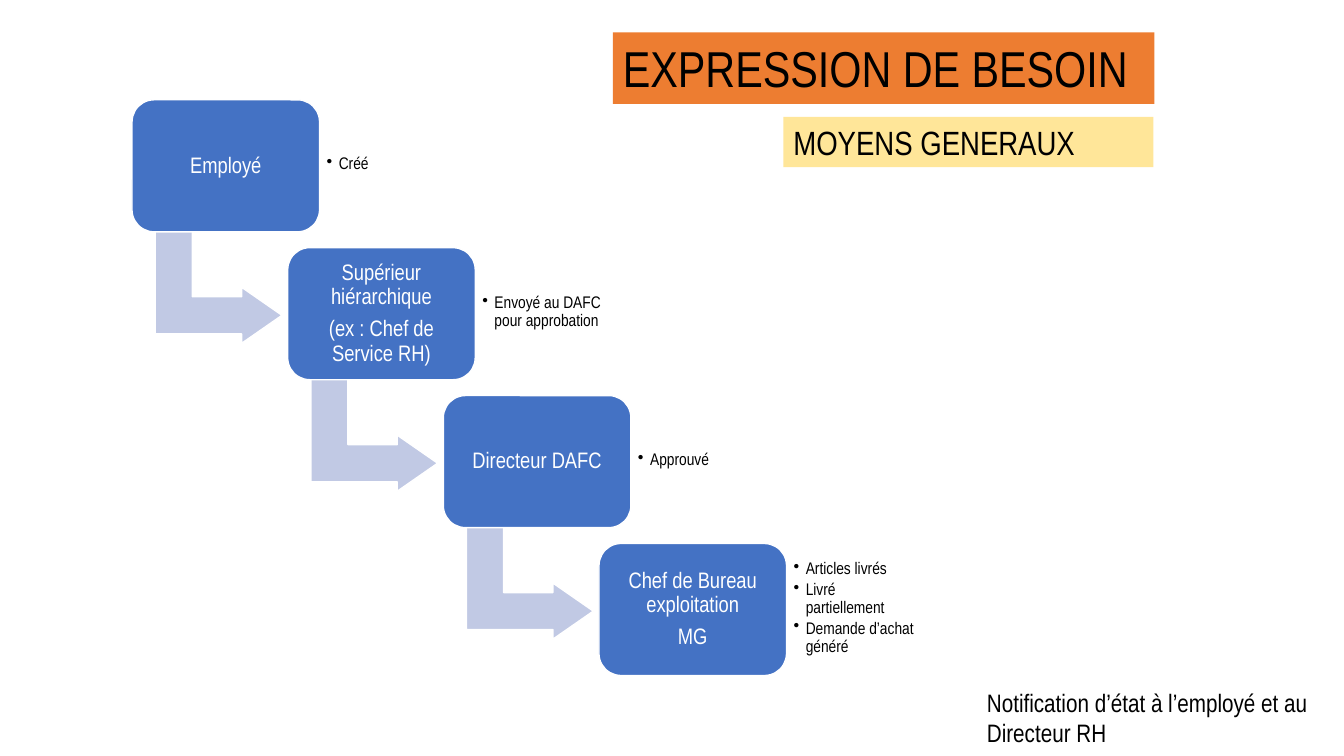
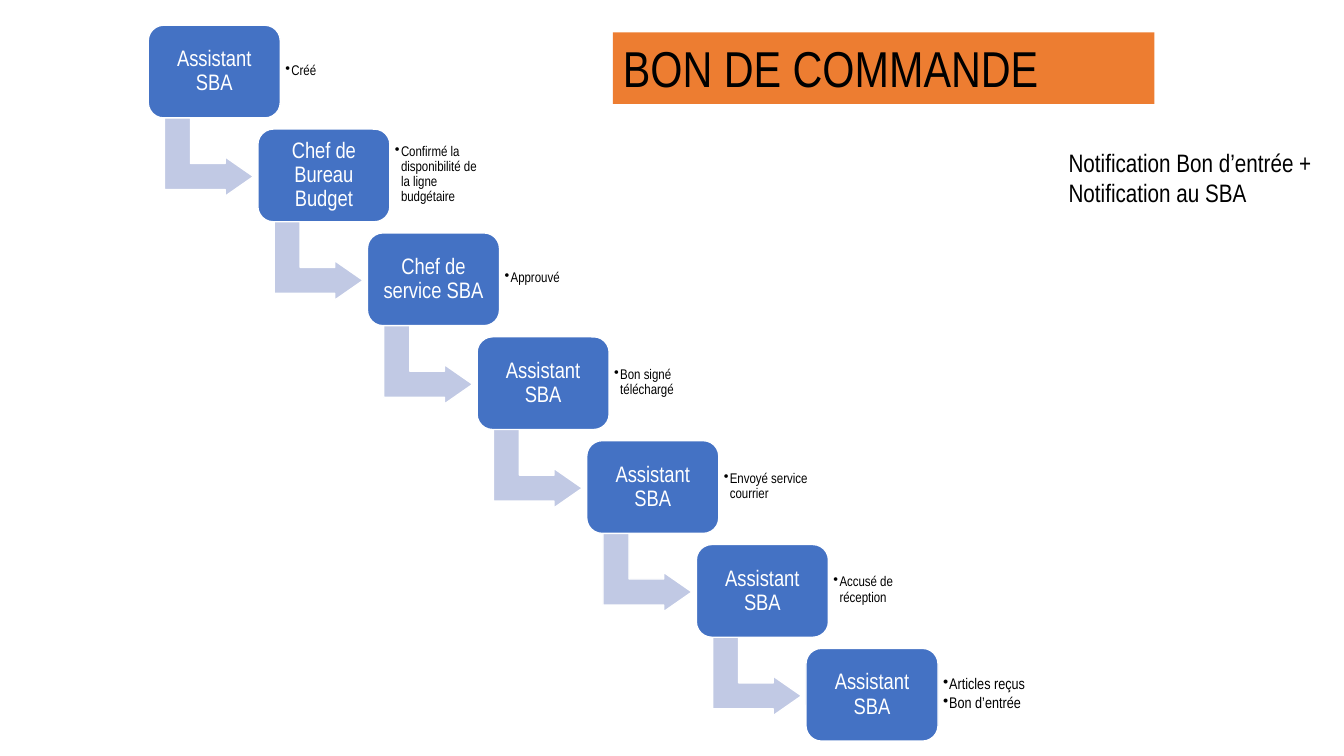
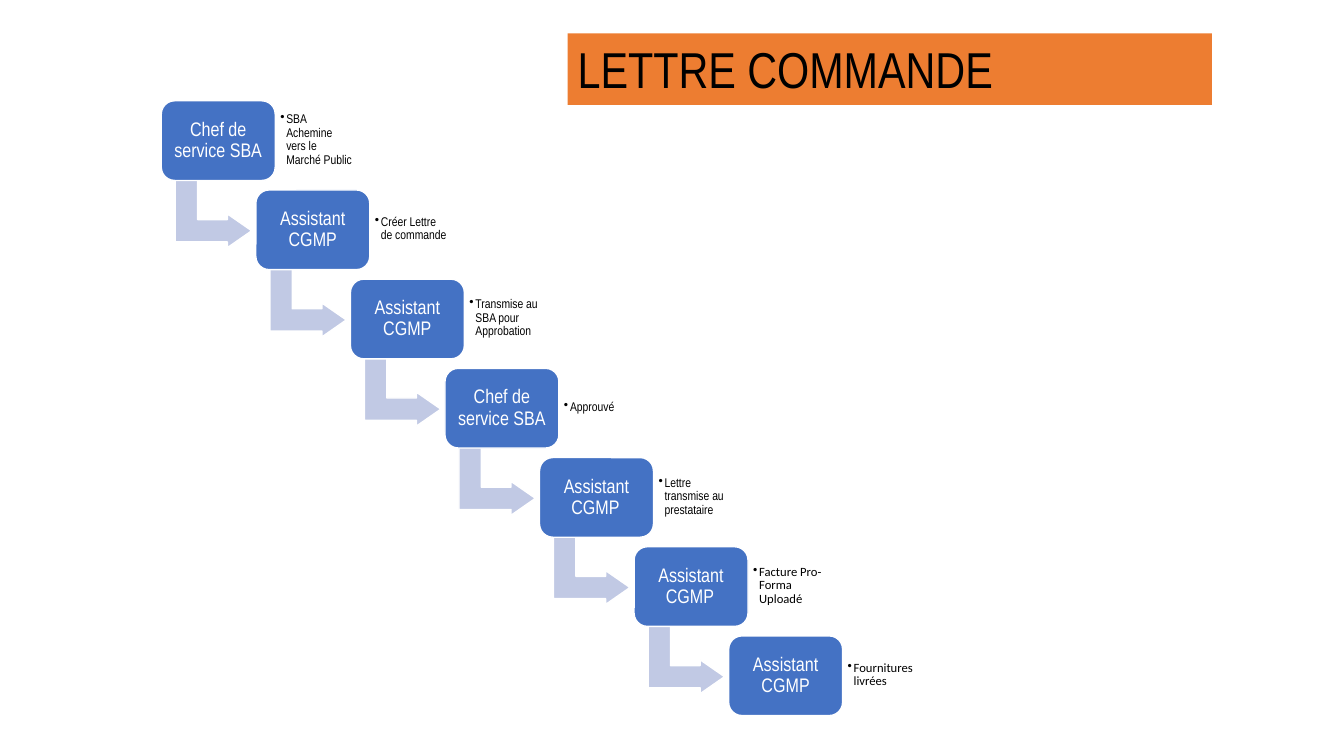
from pptx import Presentation
from pptx.dml.color import RGBColor
from pptx.enum.shapes import MSO_SHAPE
from pptx.enum.text import MSO_ANCHOR, MSO_AUTO_SIZE, PP_ALIGN
from pptx.util import Inches, Pt
from lxml import etree

COLORS = {
    "step": "4472C4",
    "arrow": "C1C9E4",
    "title": "ED7D31",
    "subtitle": "FFE699",
    "light": "FFFFFF",
    "dark": "000000",
}
NARROW = "Arial Narrow"
ROUND_FONT = "Calibri"
DRAWING = "http://schemas.openxmlformats.org/drawingml/2006/main"


class ProcessDeck:
    def __init__(self):
        self.deck = Presentation()
        self.deck.slide_width = Inches(13.33)
        self.deck.slide_height = Inches(7.5)
        self.page = None

    def add_page(self):
        self.page = self.deck.slides.add_slide(self.deck.slide_layouts[6])

    def color(self, name):
        return RGBColor.from_string(COLORS[name])

    def shape(self, kind, left, top, width, height, fill, outline=None):
        shape = self.page.shapes.add_shape(
            kind, Inches(left), Inches(top), Inches(width), Inches(height))
        shape.shadow.inherit = False
        shape.fill.solid()
        shape.fill.fore_color.rgb = self.color(fill)
        if outline:
            shape.line.color.rgb = self.color(outline)
            shape.line.width = Pt(1)
        else:
            shape.line.fill.background()
        return shape

    def set_text(self, box, text, size, color="dark", font=NARROW, align=PP_ALIGN.LEFT,
                 anchor=MSO_ANCHOR.TOP, inset=None):
        frame = box.text_frame
        frame.word_wrap = True
        frame.vertical_anchor = anchor
        if inset is not None:
            frame.margin_left = frame.margin_right = Inches(inset)
            frame.margin_top = frame.margin_bottom = Inches(inset)
        frame.text = text
        for para in frame.paragraphs:
            para.alignment = align
            for span in para.runs:
                span.font.size = Pt(size)
                span.font.name = font
                span.font.color.rgb = self.color(color)
        return frame

    def space(self, frame, after):
        for para in frame.paragraphs:
            para.line_spacing = 0.9
            para.space_after = Pt(after)

    def band(self, text, left, top, width, height, size=36, fill="title"):
        box = self.shape(MSO_SHAPE.RECTANGLE, left, top, width, height, fill)
        self.set_text(box, text, size).auto_size = MSO_AUTO_SIZE.SHAPE_TO_FIT_TEXT

    def text_box(self, left, top, width, height):
        return self.page.shapes.add_textbox(
            Inches(left), Inches(top), Inches(width), Inches(height))

    def remark(self, text, left, top):
        box = self.text_box(left, top, 3.5, 0.71)
        self.set_text(box, text, 18).auto_size = MSO_AUTO_SIZE.SHAPE_TO_FIT_TEXT

    def arrow(self, left, top, step_height):
        arrow = self.shape(
            MSO_SHAPE.BENT_UP_ARROW, left + 0.23 * step_height, top + 0.94 * step_height,
            0.85 * step_height, 0.96 * step_height, "arrow", "light")
        arrow.rotation = 90
        for index, value in enumerate((0.33, 0.25, 0.36)):
            arrow.adjustments[index] = value

    def step(self, text, left, top, width, height, size, inset):
        box = self.shape(
            MSO_SHAPE.ROUNDED_RECTANGLE, left, top, width, height, "step", "light")
        frame = self.set_text(box, text, size, "light", align=PP_ALIGN.CENTER,
                              anchor=MSO_ANCHOR.MIDDLE, inset=inset)
        self.space(frame, 0.35 * size)

    def note(self, text, left, top, width, height, size, inset, indent, font):
        box = self.text_box(left, top, width, height)
        frame = self.set_text(box, text, size, font=font, anchor=MSO_ANCHOR.MIDDLE,
                              inset=inset)
        self.space(frame, 0.15 * size)
        for para in frame.paragraphs:
            para.level = 1
            properties = para._p.get_or_add_pPr()
            properties.set("marL", str(Inches(indent)))
            properties.set("indent", str(Inches(-indent)))
            etree.SubElement(properties, f"{{{DRAWING}}}buChar").set("char", "•")

    def staircase(self, steps, left, top, width, height, size, step_inset,
                  note_size, note_inset, indent):
        for index, (label, note, *changes) in enumerate(steps):
            change = changes[0] if changes else {}
            x = left + index * 0.83 * width
            y = top + index * 1.12 * height
            if index < len(steps) - 1:
                self.arrow(x, y, height)
            self.step(label, x, y, width, height, size, step_inset)
            self.note(note, x + width, y + 0.09 * height, 0.73 * width, 0.8 * height,
                      change.get("size", note_size), note_inset, indent,
                      change.get("font", NARROW))


def main():
    process = ProcessDeck()

    process.add_page()
    process.staircase([
        ("Employé", "Créé"),
        ("Supérieur hiérarchique\n(ex : Chef de Service RH)",
         "Envoyé au DAFC pour approbation"),
        ("Directeur DAFC", "Approuvé"),
        ("Chef de Bureau exploitation\nMG",
         "Articles livrés\nLivré partiellement\nDemande d’achat généré"),
    ], 1.31, 0.99, 1.86, 1.31, 16, 0.07, 12, 0.07, 0.12)
    process.remark("Notification d’état à l’employé et au Directeur RH", 9.69, 6.77)
    process.band("EXPRESSION DE BESOIN", 6.08, 0.32, 5.37, 0.71)
    process.band("MOYENS GENERAUX", 7.77, 1.16, 3.67, 0.5, 24, "subtitle")

    process.add_page()
    process.staircase([
        ("Assistant SBA", "Créé"),
        ("Chef de Bureau Budget", "Confirmé la disponibilité de la ligne budgétaire"),
        ("Chef de service SBA", "Approuvé"),
        ("Assistant SBA", "Bon signé téléchargé"),
        ("Assistant SBA", "Envoyé service courrier"),
        ("Assistant SBA", "Accusé de réception"),
        ("Assistant SBA", "Articles reçus\nBon d’entrée", {"size": 11}),
    ], 1.47, 0.25, 1.31, 0.92, 16, 0.07, 10, 0.05, 0.06)
    process.remark("Notification Bon d’entrée + Notification au SBA", 10.5, 1.41)
    process.band("BON DE COMMANDE", 6.08, 0.32, 5.37, 0.71)

    process.add_page()
    process.staircase([
        ("Chef de service SBA", "SBA Achemine vers le Marché Public"),
        ("Assistant CGMP", "Créer Lettre de commande"),
        ("Assistant CGMP", "Transmise au SBA pour Approbation"),
        ("Chef de service SBA", "Approuvé"),
        ("Assistant CGMP\t", "Lettre transmise au prestataire"),
        ("Assistant CGMP\t", "Facture Pro-Forma Uploadé", {"font": ROUND_FONT}),
        ("Assistant CGMP", "Fournitures livrées", {"font": ROUND_FONT}),
    ], 1.6, 1, 1.13, 0.79, 14, 0.06, 9, 0.05, 0.06)
    process.band("LETTRE COMMANDE", 5.63, 0.33, 6.39, 0.71)

    process.deck.save("out.pptx")


if __name__ == "__main__":
    main()
